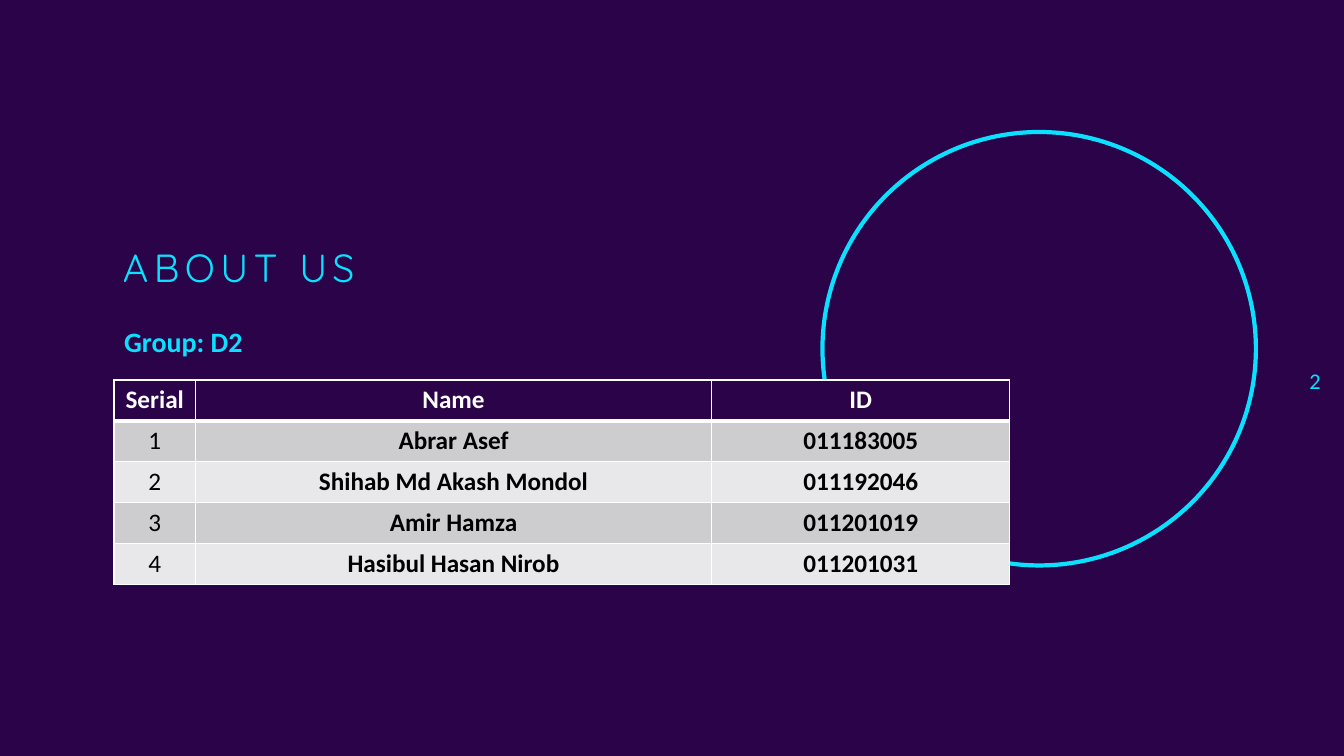
from lxml.etree import SubElement as add_xml
from pptx import Presentation
from pptx.dml.color import RGBColor
from pptx.enum.shapes import MSO_SHAPE as Shape
from pptx.enum.text import MSO_ANCHOR as Anchor, MSO_AUTO_SIZE as AutoSize, PP_ALIGN as Align
from pptx.oxml.ns import qn
from pptx.util import Pt

PURPLE, CYAN, WHITE, BLACK = "2B0348", "0BE1FF", "FFFFFF", "000000"
BANDS = ["CDCCCF", "E8E7E9"]
COLUMN_WIDTHS = [58.3, 368.6, 213.1]
ROW_HEIGHT = 29.2
MEMBERS = [
    ("Serial", "Name", "ID"),
    ("1", "Abrar Asef", "011183005"),
    ("2", "Shihab Md Akash Mondol", "011192046"),
    ("3", "Amir Hamza", "011201019"),
    ("4", "Hasibul Hasan Nirob", "011201031"),
]


def color(hex_value):
    return RGBColor.from_string(hex_value)


def set_values(target, values):
    for name, value in values.items():
        setattr(target, name, value)


def place(shape, left, top, width, height):
    set_values(shape, {"left": Pt(left), "top": Pt(top),
                       "width": Pt(width), "height": Pt(height)})


def write(text_frame, text, size, hex_value, font="Calibri", bold=False,
          align=Align.LEFT, line_spacing=1.0):
    """Fill the first paragraph of a frame and return its run."""
    paragraph = text_frame.paragraphs[0]
    set_values(paragraph, {"alignment": align, "line_spacing": line_spacing,
                           "space_before": Pt(0)})
    run = paragraph.add_run()
    run.text = text
    set_values(run.font, {"name": font, "size": Pt(size), "bold": bold})
    run.font.color.rgb = color(hex_value)
    return run


def set_frame(text_frame, anchor):
    set_values(text_frame, {"word_wrap": True, "auto_size": AutoSize.NONE,
                            "vertical_anchor": anchor})


def add_ring(slide, left, top, diameter):
    ring = slide.shapes.add_shape(Shape.OVAL, Pt(left), Pt(top), Pt(diameter), Pt(diameter))
    ring.shadow.inherit = False
    ring.fill.background()
    ring.line.color.rgb = color(CYAN)
    ring.line.width = Pt(3)


def add_title(slide, text):
    title = slide.shapes.title
    place(title, 80.6, 174.2, 360.7, 42.5)
    set_frame(title.text_frame, Anchor.TOP)
    run = write(title.text_frame, text, 28, CYAN, font="Quicksand", line_spacing=0.9)
    run.font._element.set("spc", "400")


def add_body(slide, text):
    body = slide.placeholders[1]
    place(body, 81.4, 216, 418.3, 226.1)
    set_frame(body.text_frame, Anchor.TOP)
    properties = body.text_frame.paragraphs[0]._p.get_or_add_pPr()
    properties.set("marL", "0")
    properties.set("indent", "0")
    add_xml(properties, qn("a:buNone"))
    write(body.text_frame, text, 20, CYAN, bold=True, line_spacing=1.5)


def add_page_number(slide, text):
    box = slide.shapes.add_textbox(Pt(907.2), Pt(249.1), Pt(43.2), Pt(45.4))
    set_frame(box.text_frame, Anchor.MIDDLE)
    write(box.text_frame, text, 16, CYAN, align=Align.RIGHT)


def set_borders(cell, widths):
    """Draw white borders; widths maps a side (L, R, T, B) to points."""
    properties = cell._tc.get_or_add_tcPr()
    for side, width in widths.items():
        line = add_xml(properties, qn(f"a:ln{side}"), w=str(Pt(width)))
        fill = add_xml(line, qn("a:solidFill"))
        add_xml(fill, qn("a:srgbClr"), val=WHITE)


def add_member_table(slide, left, top):
    table = slide.shapes.add_table(
        len(MEMBERS), len(COLUMN_WIDTHS), Pt(left), Pt(top),
        Pt(sum(COLUMN_WIDTHS)), Pt(ROW_HEIGHT * len(MEMBERS))).table
    table.horz_banding = False
    for column, width in zip(table.columns, COLUMN_WIDTHS):
        column.width = Pt(width)
    for row_index, values in enumerate(MEMBERS):
        table.rows[row_index].height = Pt(ROW_HEIGHT)
        header = row_index == 0
        for column_index, text in enumerate(values):
            cell = table.cell(row_index, column_index)
            set_borders(cell, {"L": 1, "R": 1, "T": 3 if row_index == 1 else 1,
                               "B": 3 if header else 1})
            cell.fill.solid()
            cell.fill.fore_color.rgb = color(PURPLE if header else BANDS[(row_index - 1) % 2])
            write(cell.text_frame, text, 18, WHITE if header else BLACK,
                  bold=header or column_index > 0, align=Align.CENTER)


def main():
    presentation = Presentation()
    set_values(presentation, {"slide_width": Pt(960), "slide_height": Pt(540)})
    slide = presentation.slides.add_slide(presentation.slide_layouts[1])
    slide.background.fill.solid()
    slide.background.fill.fore_color.rgb = color(PURPLE)
    add_ring(slide, 587.5, 94.3, 309.6)
    add_title(slide, "ABOUT US")
    add_body(slide, "Group: D2")
    add_page_number(slide, "2")
    add_member_table(slide, 81.4, 271.4)
    presentation.save("out.pptx")


if __name__ == "__main__":
    main()
